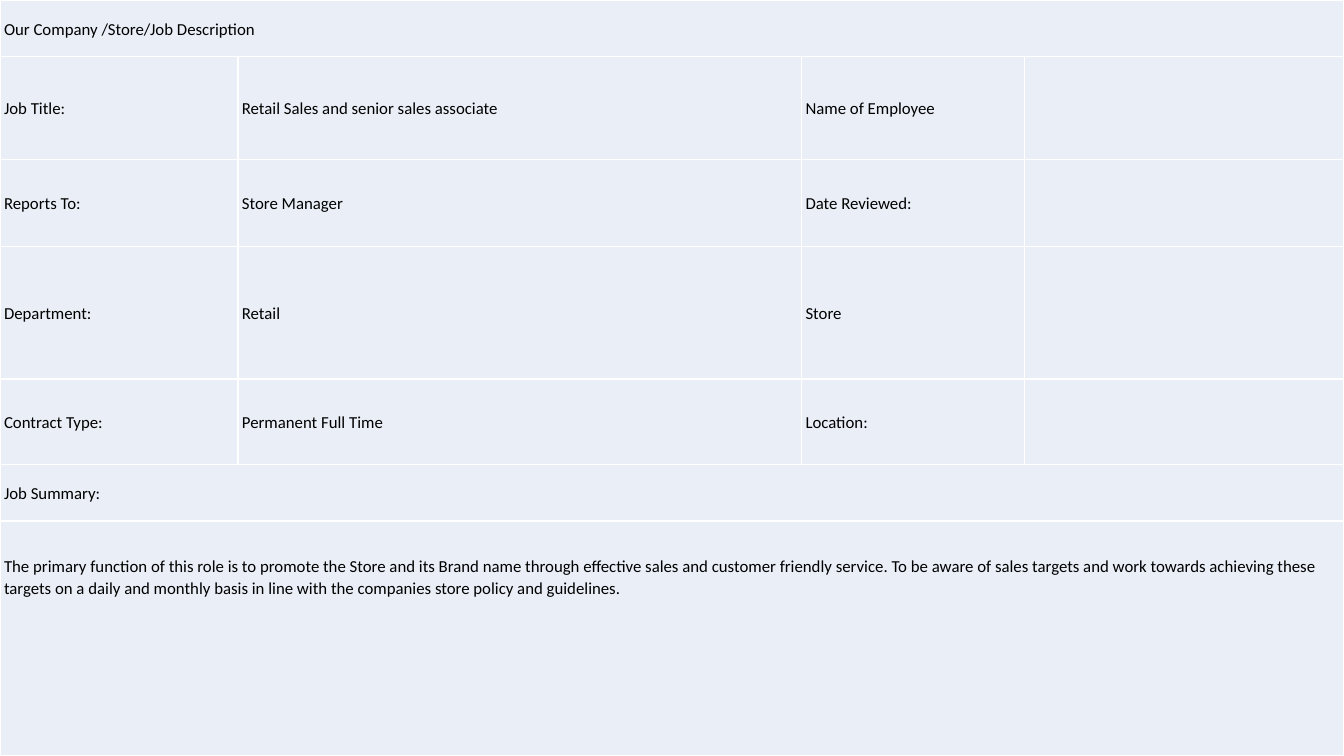
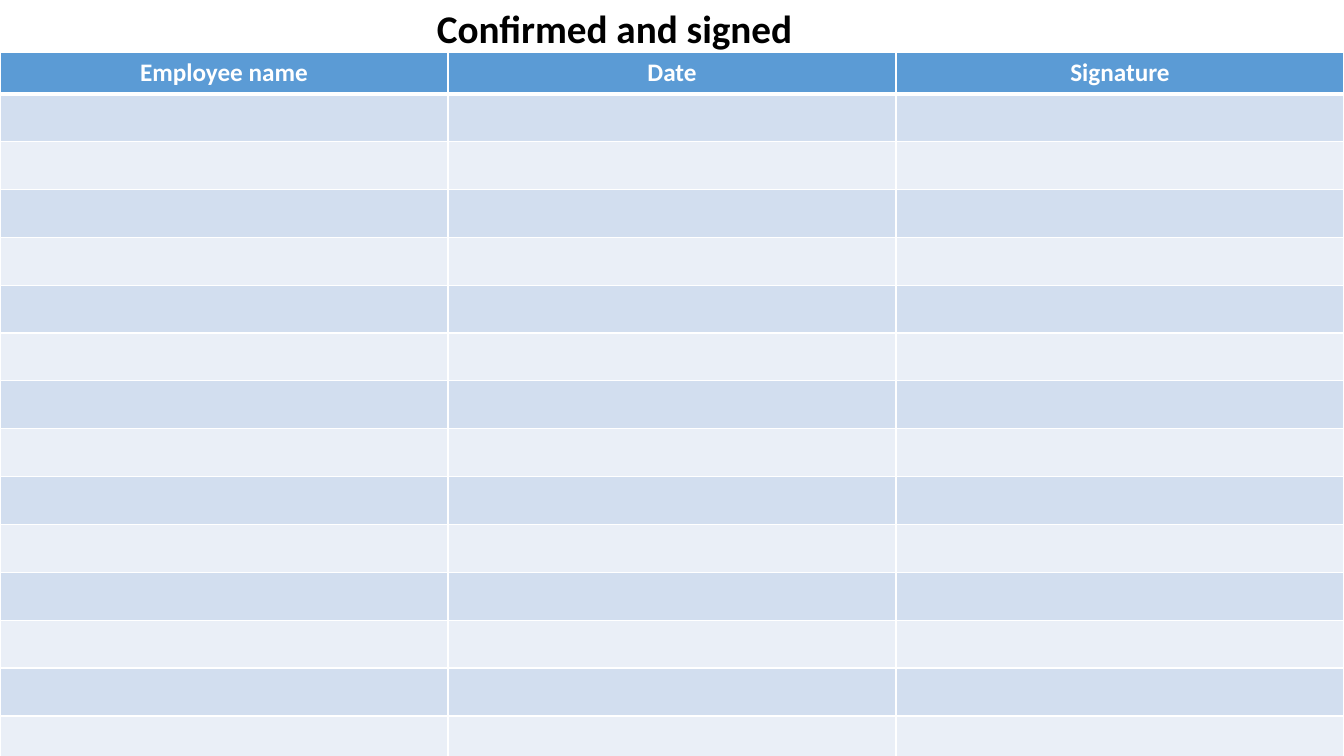
from lxml.etree import SubElement
from pptx import Presentation
from pptx.dml.color import RGBColor
from pptx.enum.text import MSO_ANCHOR, MSO_AUTO_SIZE, PP_ALIGN
from pptx.oxml.ns import qn
from pptx.util import Inches, Pt

COLORS = {
    "text": "000000",
    "white": "FFFFFF",
    "header": "5B9BD5",
    "band": "D2DEEF",
    "pale": "EAEFF7",
}
WIDTH, HEIGHT = 13.33, 7.5
TITLE_ONLY, BLANK = 5, 6


class Deck:
    font = "Calibri"

    def __init__(self):
        self.prs = Presentation()
        self.prs.slide_width = Inches(WIDTH)
        self.prs.slide_height = Inches(HEIGHT)

    def new_slide(self, layout):
        self.s = self.prs.slides.add_slide(self.prs.slide_layouts[layout])

    def format(self, tf, size, color="text", bold=False, align=PP_ALIGN.LEFT,
               spacing=1.0, after=0):
        for p in tf.paragraphs:
            p.alignment = align
            p.line_spacing = spacing
            p.space_after = Pt(after)
            for r in p.runs:
                r.font.name = self.font
                r.font.size = Pt(size)
                r.font.bold = bold
                r.font.color.rgb = RGBColor.from_string(COLORS[color])

    def title(self, text, left, top, width, height):
        sp = self.s.shapes.title
        sp.left, sp.top = Inches(left), Inches(top)
        sp.width, sp.height = Inches(width), Inches(height)
        tf = sp.text_frame
        tf.text = text
        tf.auto_size = MSO_AUTO_SIZE.NONE
        tf.vertical_anchor = MSO_ANCHOR.MIDDLE
        self.format(tf, 28, bold=True, align=PP_ALIGN.CENTER, spacing=0.9)

    def table(self, top, widths, heights):
        frame = self.s.shapes.add_table(
            len(heights), len(widths), 0, Inches(top),
            Inches(sum(widths)), Inches(sum(heights)))
        table = frame.table
        table.first_row = table.horz_banding = False
        for column, width in zip(table.columns, widths):
            column.width = Inches(width)
        for row, height in zip(table.rows, heights):
            row.height = Inches(height)
        return table

    def cell(self, cell, fill, top=1, bottom=1):
        cell.fill.solid()
        cell.fill.fore_color.rgb = RGBColor.from_string(COLORS[fill])
        tcPr = cell._tc.get_or_add_tcPr()
        sides = {"L": 1, "R": 1, "T": top, "B": bottom}
        for i, (side, width) in enumerate(sides.items()):
            ln = SubElement(tcPr, qn(f"a:ln{side}"), w=str(Pt(width)))
            solid = SubElement(ln, qn("a:solidFill"))
            SubElement(solid, qn("a:srgbClr"), val=COLORS["white"])
            tcPr.insert(i, ln)

    def form_table(self, top, widths, heights, rows):
        table = self.table(top, widths, heights)
        for i, texts in enumerate(rows):
            for j in range(len(widths)):
                self.cell(table.cell(i, j), "pale")
            for j, text in enumerate(texts):
                cell = table.cell(i, j)
                cell.margin_left = cell.margin_right = Inches(0.04)
                cell.margin_top, cell.margin_bottom = Inches(0.01), 0
                cell.vertical_anchor = MSO_ANCHOR.MIDDLE
                cell.text_frame.text = text
                self.format(cell.text_frame, 12, spacing=1.07, after=8)
            if len(texts) == 1:
                table.cell(i, 0).merge(table.cell(i, len(widths) - 1))
        return table

    def banded_table(self, top, widths, heights, headers):
        table = self.table(top, widths, heights)
        for j, text in enumerate(headers):
            header = table.cell(0, j)
            self.cell(header, "header", bottom=3)
            header.text_frame.text = text
            self.format(header.text_frame, 18, "white", True, PP_ALIGN.CENTER)
            for i in range(1, len(heights)):
                self.cell(table.cell(i, j), "band" if i % 2 else "pale",
                          top=3 if i == 1 else 1)


def job_description(deck):
    deck.new_slide(BLANK)
    rows = [
        ["Our Company /Store/Job Description"],
        ["Job Title:", "Retail Sales and senior sales associate",
         "Name of Employee"],
        ["Reports To:", "Store Manager", "Date Reviewed:"],
        ["Department:", "Retail", "Store"],
        ["Contract Type:", "Permanent Full Time", "Location:"],
        ["Job Summary:"],
        ["The primary function of this role is to promote the Store and its "
         "Brand name through effective sales and customer friendly service. "
         "To be aware of sales targets and work towards achieving these "
         "targets on a daily and monthly basis in line with the companies "
         "store policy and guidelines."],
    ]
    table = deck.form_table(0, [2.36, 5.59, 2.21, 3.17],
                            [0.56, 1.02, 0.87, 1.31, 0.85, 0.56, 2.33], rows)
    summary = table.cell(len(rows) - 1, 0)
    summary.vertical_anchor = MSO_ANCHOR.TOP
    summary.margin_top = Inches(0.34)


def sign_off(deck):
    deck.new_slide(TITLE_ONLY)
    deck.title("Confirmed and signed", 0.92, 0, 10.35, 0.61)
    headers = ["Employee name", "Date", "Signature"]
    lines, header_height, table_height = 14, 0.41, 7.06
    line_height = (table_height - header_height) / lines
    deck.banded_table(0.52, [WIDTH / len(headers)] * len(headers),
                      [header_height] + [line_height] * lines, headers)


def main():
    deck = Deck()
    job_description(deck)
    sign_off(deck)
    deck.prs.save("out.pptx")


if __name__ == "__main__":
    main()
